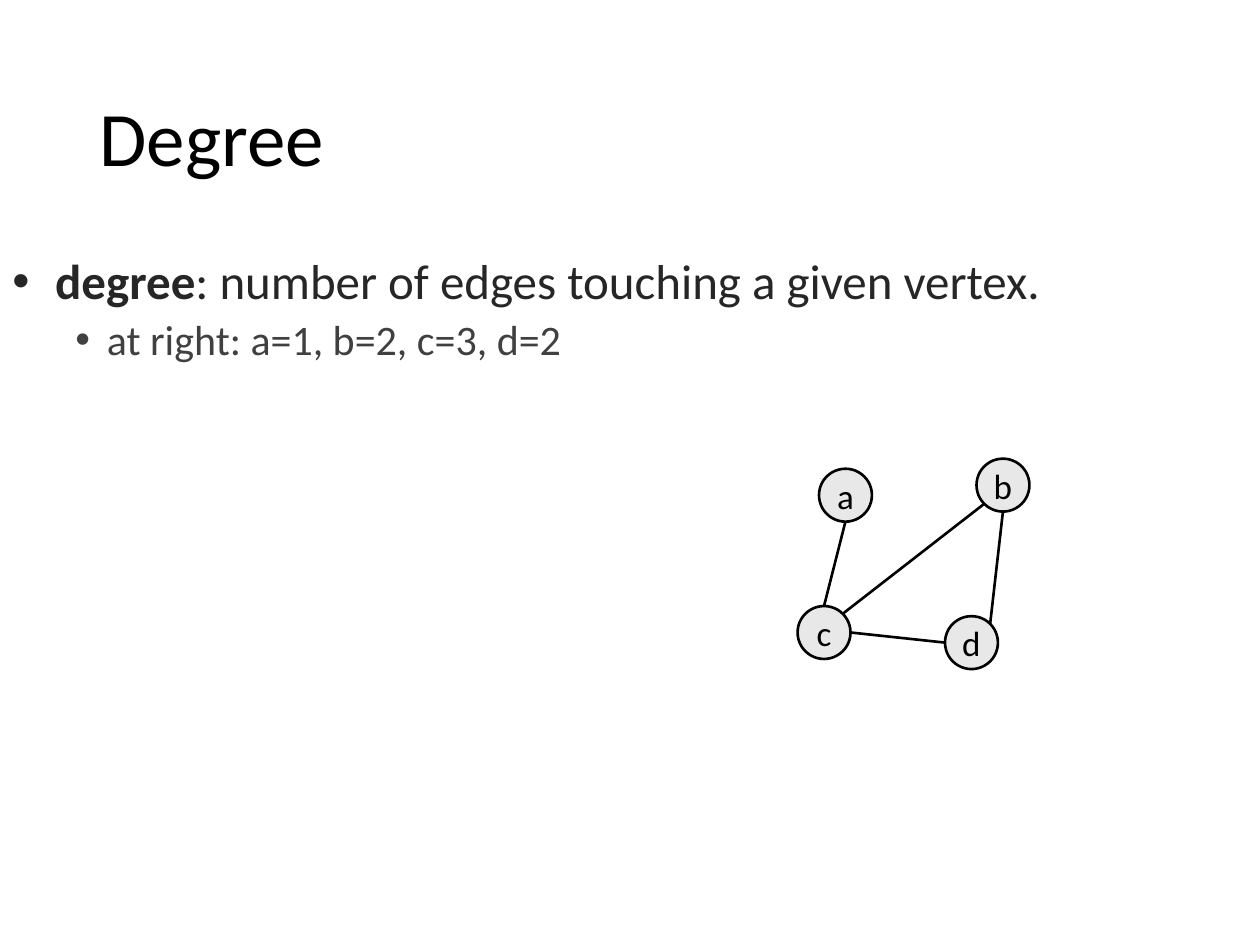
import math
from dataclasses import dataclass

from lxml import etree
from pptx import Presentation
from pptx.dml.color import RGBColor as Rgb
from pptx.enum import shapes as kinds, text as modes
from pptx.oxml import ns
from pptx.util import Inches, Pt


@dataclass(frozen=True)
class Theme:
    face: str = "Calibri"
    ink: str = "000000"
    dark: str = "262626"
    soft: str = "404040"
    node: str = "E8E8E8"
    head: int = 44
    main: int = 28
    sub: int = 24
    mark: int = 20
    rule: float = 1.5


LOOK = Theme()
NODES = {"a": (0.17, 0.08), "c": (0, 1.17), "b": (1.42, 0), "d": (1.17, 1.25)}
EDGES = [("a", 90, "c", -90), ("c", 0, "d", 180),
         ("d", -45, "b", 90), ("c", -45, "b", 135)]
SIZE = 0.42


def apply(item, form):
    for key, value in form.items():
        setattr(item, key, value)


def style(font, size, color):
    apply(font, {"name": LOOK.face, "size": Pt(size)})
    font.color.rgb = Rgb.from_string(color)


def stroke(line):
    line.width = Pt(LOOK.rule)
    line.color.rgb = Rgb.from_string(LOOK.ink)


def bullet(para, left, hang):
    props = para._p.get_or_add_pPr()
    props.set("marL", str(Inches(left)))
    props.set("indent", str(-Inches(hang)))
    etree.SubElement(props, ns.qn("a:buFont")).set("typeface", "Arial")
    etree.SubElement(props, ns.qn("a:buChar")).set("char", "•")


def heading(slide, box):
    title = slide.shapes.title
    apply(title, dict(zip(("left", "top", "width", "height"), map(Inches, box))))
    frame = title.text_frame
    frame.text = "Degree"
    apply(frame, {"vertical_anchor": modes.MSO_ANCHOR.MIDDLE,
                  "auto_size": modes.MSO_AUTO_SIZE.NONE, "word_wrap": True})
    para = frame.paragraphs[0]
    apply(para, {"alignment": modes.PP_ALIGN.LEFT, "line_spacing": 0.9})
    style(para.runs[0].font, LOOK.head, LOOK.ink)


def body(slide, box):
    frame = slide.shapes.add_textbox(*map(Inches, box)).text_frame
    apply(frame, {"word_wrap": True, "margin_top": Inches(0.62)})
    first, second = frame.paragraphs[0], frame.add_paragraph()
    rows = [
        (first, 0, 0.34, 0.34, 0, LOOK.main, LOOK.dark,
         [("degree", True), (": number of edges touching a given vertex.", False)]),
        (second, 1, 0.75, 0.25, 5, LOOK.sub, LOOK.soft,
         [("at right: a=1, b=2, c=3, d=2", False)]),
    ]
    for para, level, left, hang, gap, size, color, parts in rows:
        bullet(para, left, hang)
        apply(para, {"level": level, "line_spacing": 0.9, "space_before": Pt(gap)})
        for words, bold in parts:
            run = para.add_run()
            run.text = words
            style(run.font, size, color)
            run.font.bold = bold


def vertex(group, name, x, y):
    dot = group.shapes.add_shape(kinds.MSO_SHAPE.OVAL, Inches(x), Inches(y),
                                 Inches(SIZE), Inches(SIZE))
    dot.shadow.inherit = False
    dot.fill.solid()
    dot.fill.fore_color.rgb = Rgb.from_string(LOOK.node)
    stroke(dot.line)
    frame = dot.text_frame
    frame.text = name
    apply(frame, {"word_wrap": False, "vertical_anchor": modes.MSO_ANCHOR.MIDDLE})
    para = frame.paragraphs[0]
    para.alignment = modes.PP_ALIGN.CENTER
    style(para.runs[0].font, LOOK.mark, LOOK.ink)


def rim(spot, angle):
    turn = math.radians(angle)
    return [Inches(at + SIZE / 2 * (1 + part))
            for at, part in zip(spot, (math.cos(turn), math.sin(turn)))]


def graph(slide, left, top):
    group = slide.shapes.add_group_shape()
    spots = {name: (left + x, top + y) for name, (x, y) in NODES.items()}
    for name, spot in spots.items():
        vertex(group, name, *spot)
    for start, leave, end, reach in EDGES:
        edge = group.shapes.add_connector(
            kinds.MSO_CONNECTOR.STRAIGHT,
            *rim(spots[start], leave), *rim(spots[end], reach))
        stroke(edge.line)
        etree.SubElement(edge._element.spPr, ns.qn("a:effectLst"))


def main():
    deck = Presentation()
    apply(deck, {"slide_width": Inches(10), "slide_height": Inches(7.5)})
    slide = deck.slides.add_slide(deck.slide_layouts[5])
    heading(slide, (0.69, 0.4, 8.62, 1.45))
    body(slide, (0, 1.42, 10, 6.08))
    graph(slide, 6.33, 3.64)
    deck.save("out.pptx")


if __name__ == "__main__":
    main()
